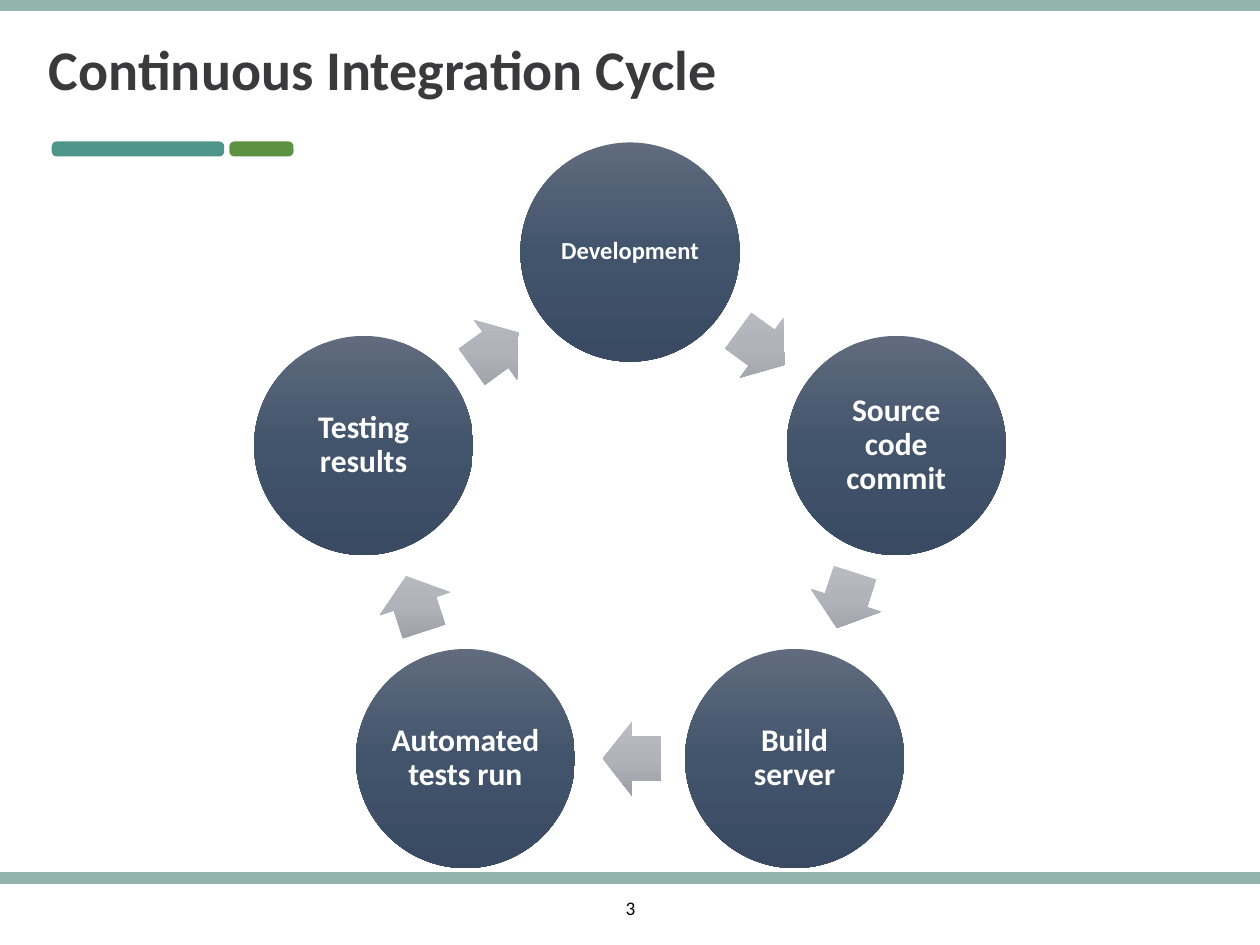
from copy import deepcopy
from math import cos, radians, sin

from lxml import etree
from pptx import Presentation
from pptx.dml.color import RGBColor
from pptx.enum import shapes, text
from pptx.oxml.ns import qn
from pptx.util import Pt

COLORS = {
    "teal": "4F9488",
    "green": "5C9242",
    "rule": "92B4AD",
    "title": "3A3A3C",
    "white": "FFFFFF",
    "black": "000000",
}
CIRCLE_GRADIENT = ("606B7D", "42546C", "394A62")
ARROW_GRADIENT = ("BABDC2", "B0B3BA", "9C9FA6")

# Stages in clockwise order, with their text size
STAGES = [
    ("Development", 14),
    ("Source code commit", 18),
    ("Build server", 18),
    ("Automated tests run", 18),
    ("Testing results", 18),
]
CENTER_X, CENTER_Y, RADIUS = 360, 304, 160
DIAMETER = 125.2
ARROW_LENGTH, ARROW_WIDTH = 33.2, 42.3
ARROW_SETBACK = 1
STEP = 360 / len(STAGES)


def rgb(name):
    return RGBColor.from_string(COLORS[name])


def set_text(shape, content, size, color, bold=False, align=None, inset=None):
    frame = shape.text_frame
    frame.word_wrap = True
    frame.vertical_anchor = text.MSO_ANCHOR.MIDDLE
    if inset is not None:
        frame.margin_left = frame.margin_right = Pt(inset)
        frame.margin_top = frame.margin_bottom = Pt(inset)
    paragraph = frame.paragraphs[0]
    paragraph.text = content
    paragraph.alignment = align
    paragraph.line_spacing = 0.9
    font = paragraph.font
    font.name, font.size, font.bold = "Calibri", Pt(size), bold
    font.color.rgb = rgb(color)


def add_text(slide, box, content, size, color, **options):
    shape = slide.shapes.add_textbox(*map(Pt, box))
    set_text(shape, content, size, color, **options)


def add_bar(slide, left, width, color):
    shape = slide.shapes.add_shape(
        shapes.MSO_SHAPE.ROUNDED_RECTANGLE, Pt(left), Pt(83), Pt(width), Pt(4.3))
    shape.shadow.inherit = False
    shape.fill.solid()
    shape.fill.fore_color.rgb = rgb(color)
    shape.line.color.rgb = rgb(color)
    shape.line.width = Pt(4.25)


def add_rule(slide, y):
    line = slide.shapes.add_connector(
        shapes.MSO_CONNECTOR.STRAIGHT, Pt(0), Pt(y), Pt(720), Pt(y))
    line.line.color.rgb = rgb("rule")
    line.line.width = Pt(6.75)
    etree.SubElement(line._element.spPr, qn("a:effectLst"))


def fill_gradient(shape, colors):
    """Fill from top to bottom, upright even when the shape is rotated."""
    shape.fill.gradient()
    shape.fill.gradient_angle = 270
    gradient = shape._element.spPr.find(qn("a:gradFill"))
    gradient.set("rotWithShape", "0")
    stop_list = gradient.find(qn("a:gsLst"))
    stop_list.append(deepcopy(stop_list[0]))
    for stop, color, position in zip(shape.fill.gradient_stops, colors, (0, 0.5, 1)):
        stop.color.rgb = RGBColor.from_string(color)
        stop.position = position


def add_centered(slide, kind, x, y, width, height, gradient):
    shape = slide.shapes.add_shape(
        kind, Pt(x - width / 2), Pt(y - height / 2), Pt(width), Pt(height))
    shape.shadow.inherit = False
    shape.line.fill.background()
    fill_gradient(shape, gradient)
    return shape


def ring_point(angle, radius):
    """Point on the ring, with the angle clockwise from the top."""
    turn = radians(angle)
    return CENTER_X + radius * sin(turn), CENTER_Y - radius * cos(turn)


def add_stage(slide, angle, label, size):
    circle = add_centered(slide, shapes.MSO_SHAPE.OVAL, *ring_point(angle, RADIUS),
                          DIAMETER, DIAMETER, CIRCLE_GRADIENT)
    set_text(circle, label, size, "white", bold=True,
             align=text.PP_ALIGN.CENTER, inset=2)


def add_arrow(slide, angle):
    """Arrow midway between two stages, set back a little from its target."""
    x, y = ring_point(angle, RADIUS * cos(radians(STEP / 2)))
    x -= ARROW_SETBACK * cos(radians(angle))
    y -= ARROW_SETBACK * sin(radians(angle))
    arrow = add_centered(slide, shapes.MSO_SHAPE.RIGHT_ARROW, x, y,
                         ARROW_LENGTH, ARROW_WIDTH, ARROW_GRADIENT)
    arrow.adjustments[0] = 0.6
    arrow.adjustments[1] = 0.5
    arrow.rotation = angle


def main():
    presentation = Presentation()
    presentation.slide_width, presentation.slide_height = Pt(720), Pt(540)
    slide = presentation.slides.add_slide(presentation.slide_layouts[6])

    # Frame: accent bars, rules and page number
    add_bar(slide, 31.7, 94.3, "teal")
    add_bar(slide, 133.2, 32.4, "green")
    add_rule(slide, 501.8)
    add_rule(slide, 2.9)
    add_text(slide, (299.5, 509, 121.7, 20.9), "3", 11, "black",
             align=text.PP_ALIGN.CENTER)

    # Title
    add_text(slide, (20.9, 2.9, 667.4, 77), "Continuous Integration Cycle",
             32, "title", bold=True)

    # Cycle
    for index, (label, size) in enumerate(STAGES):
        add_stage(slide, index * STEP, label, size)
        add_arrow(slide, (index + 0.5) * STEP)

    presentation.save("out.pptx")


if __name__ == "__main__":
    main()
